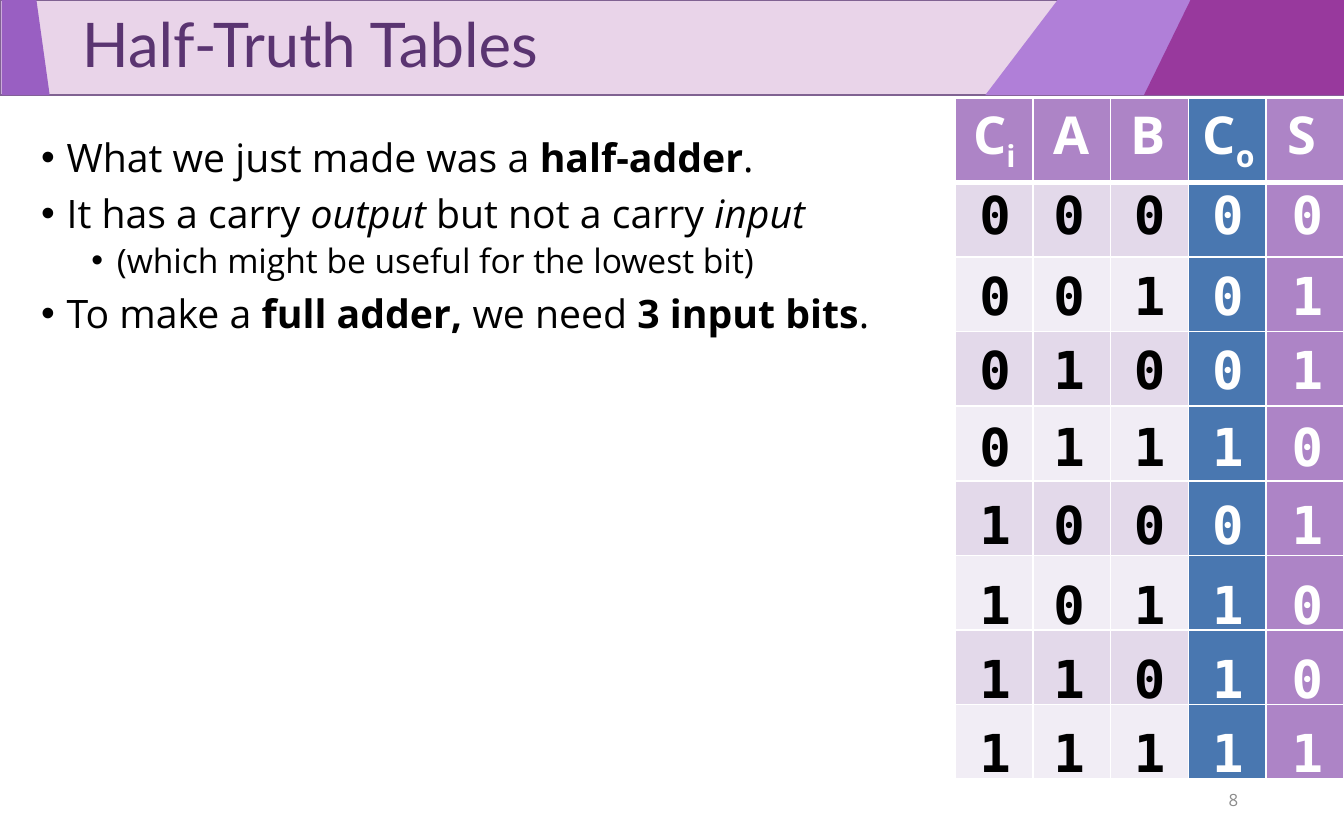
from itertools import product

from lxml.etree import SubElement
from pptx import Presentation
from pptx.dml.color import RGBColor
from pptx.enum.shapes import MSO_SHAPE
from pptx.enum.text import MSO_ANCHOR, MSO_AUTO_SIZE, PP_ALIGN
from pptx.oxml.ns import qn
from pptx.util import Cm, Pt

WIDE, HIGH, BAND = 25.4, 15.88, 1.8
WHITE, BLACK, PURPLE, BLUE = "FFFFFF", "000000", "AD84C6", "4977B0"
STRIPES = "E3D9EA", "F1EDF5"


def paint(part, color):
    """Give a fill a solid colour, or a font or line its colour."""
    if hasattr(part, "solid"):
        part.solid()
        part = part.fore_color
    else:
        part = part.color
    part.rgb = RGBColor.from_string(color)


def apply(item, values):
    for name, value in values.items():
        setattr(item, name, value)


class Deck:
    style = {
        "title": ({"name": "Lato", "size": Pt(33)}, "5A3471"),
        "body": ({"name": "Open Sans", "size": Pt(21)}, BLACK),
        "sub": ({"name": "Open Sans", "size": Pt(18)}, BLACK),
        "page": ({"name": "Open Sans", "size": Pt(9)}, "8C8C8C"),
        "head": ({"name": "Open Sans", "size": Pt(28), "bold": True}, WHITE),
        "input": ({"name": "DejaVu Sans Mono", "size": Pt(28), "bold": True}, BLACK),
        "output": ({"name": "DejaVu Sans Mono", "size": Pt(28), "bold": True}, WHITE),
    }

    def __init__(self):
        self.show = Presentation()
        self.show.slide_width, self.show.slide_height = Cm(WIDE), Cm(HIGH)
        self.slide = self.show.slides.add_slide(self.show.slide_layouts[6])
        self.shapes = self.slide.shapes

    def bar(self, fill, line):
        bar = self.shapes.add_shape(MSO_SHAPE.RECTANGLE, 0, 0, Cm(WIDE), Cm(BAND))
        bar.shadow.inherit = False
        paint(bar.fill, fill)
        paint(bar.line, line)
        bar.line.width = Pt(1)

    def slant(self, fill, *points):
        first, *rest = [(Cm(x), Cm(y)) for x, y in points]
        pen = self.shapes.build_freeform(*first)
        pen.add_line_segments(rest)
        shape = pen.convert_to_shape()
        shape.shadow.inherit = False
        paint(shape.fill, fill)
        shape.line.fill.background()

    def box(self, left, top, width, height, **frame):
        text = self.shapes.add_textbox(Cm(left), Cm(top), Cm(width), Cm(height)).text_frame
        apply(text, {"word_wrap": True, **frame})
        return text

    def words(self, para, kind, *runs):
        """Add runs, each a string or a (string, font values) pair."""
        values, color = self.style[kind]
        for item in runs:
            text, extra = (item, {}) if isinstance(item, str) else item
            run = para.add_run()
            run.text = text
            apply(run.font, {**values, **extra})
            paint(run.font, color)
        return run

    def points(self, text, items):
        for index, (kind, *runs) in enumerate(items):
            para = text.add_paragraph() if index else text.paragraphs[0]
            sub = kind == "sub"
            props = para._p.get_or_add_pPr()
            props.set("marL", str(Cm(1.43 if sub else 0.48)))
            props.set("indent", str(Cm(-0.48)))
            SubElement(props, qn("a:buFont"), typeface="Arial")
            SubElement(props, qn("a:buChar"), char="•")
            space = Pt(3.8 if sub else 7.5) if index else Pt(0)
            apply(para, {"level": int(sub), "line_spacing": 0.9, "space_before": space})
            self.words(para, kind, *runs)

    def grid(self, left, top, width, heights, fills):
        count = len(fills[0])
        table = self.shapes.add_table(
            len(heights), count, Cm(left), Cm(top), Cm(width * count), Cm(sum(heights))
        ).table
        apply(table, {"first_row": False, "horz_banding": False})
        for column in table.columns:
            column.width = Cm(width)
        for index, (row, height, colors) in enumerate(zip(table.rows, heights, fills)):
            row.height = Cm(height)
            for cell, color in zip(row.cells, colors):
                self.edge(cell, 1 if index else 3)
                paint(cell.fill, color)

    def edge(self, cell, base):
        """Draw white borders, the bottom one being base points wide."""
        props = cell._tc.get_or_add_tcPr()
        for side, width in zip("LRTB", (1, 1, 1, base)):
            line = SubElement(props, qn("a:ln" + side), w=str(Pt(width)))
            fill = SubElement(line, qn("a:solidFill"))
            SubElement(fill, qn("a:srgbClr"), val=WHITE)

    def label(self, left, top, width, kind, text, low=""):
        """Place one table entry, with an optional subscript."""
        frame = self.box(left, top, width, 1.45, word_wrap=False,
                         auto_size=MSO_AUTO_SIZE.SHAPE_TO_FIT_TEXT)
        para = frame.paragraphs[0]
        self.words(para, kind, text)
        if low:
            run = self.words(para, kind, low)
            run.font._element.set("baseline", "-25000")


def main():
    deck = Deck()
    deck.bar("E9D4E9", "806292")
    deck.slant("B07FD8", (19.99, 0), (WIDE, 0), (WIDE, BAND), (18.62, BAND))
    deck.slant("995FC2", (0.03, 0), (0.69, 0), (0.94, BAND), (0.03, BAND))
    deck.slant("98399D", (22.5, 0), (WIDE, 0), (WIDE, BAND), (21.62, BAND))

    title = deck.box(0.03, 0, WIDE, BAND, vertical_anchor=MSO_ANCHOR.MIDDLE).paragraphs[0]
    title._p.get_or_add_pPr().set("marL", str(Cm(1.27)))
    title.line_spacing = 0.9
    deck.words(title, "title", "Half-Truth Tables")

    bold, slope = {"bold": True}, {"italic": True}
    deck.points(deck.box(0.53, 2.49, 23.11, 11.81), [
        ("body", "What we just made was a ", ("half-adder", bold), "."),
        ("body", "It has a carry ", ("output", slope), " but not a carry ", ("input", slope)),
        ("sub", "(which might be useful for the lowest bit)"),
        ("body", "To make a ", ("full adder, ", bold), "we need ", ("3 input bits", bold), "."),
    ])

    page = deck.box(17.93, 14.71, 5.72, 0.84, vertical_anchor=MSO_ANCHOR.MIDDLE).paragraphs[0]
    page.alignment = PP_ALIGN.RIGHT
    deck.words(page, "page", "8")

    bits = list(product((0, 1), repeat=3))
    fills = [[PURPLE] * 3 + [BLUE, PURPLE]]
    fills += [[STRIPES[i % 2]] * 3 + [BLUE, PURPLE] for i in range(len(bits))]
    deck.grid(18.05, 1.85, 1.47, [1.6] + [1.41] * len(bits), fills)

    heads = [(18.14, 1.32, "C", "i"), (19.66, 1.22, "A"), (21.11, 1.14, "B"),
             (22.48, 1.55, "C", "o"), (24.08, 1.07, "S")]
    for left, width, *parts in heads:
        deck.label(left, BAND, width, "head", *parts)

    lefts = 18.26, 19.66, 21.18, 22.66, 24.16
    tops = 3.33, 4.85, 6.25, 7.71, 9.18, 10.69, 12.1, 13.5
    for top, row in zip(tops, bits):
        carry, total = divmod(sum(row), 2)
        for index, (left, bit) in enumerate(zip(lefts, (*row, carry, total))):
            deck.label(left, top, 1.07, "input" if index < 3 else "output", str(bit))

    deck.show.save("out.pptx")


if __name__ == "__main__":
    main()
